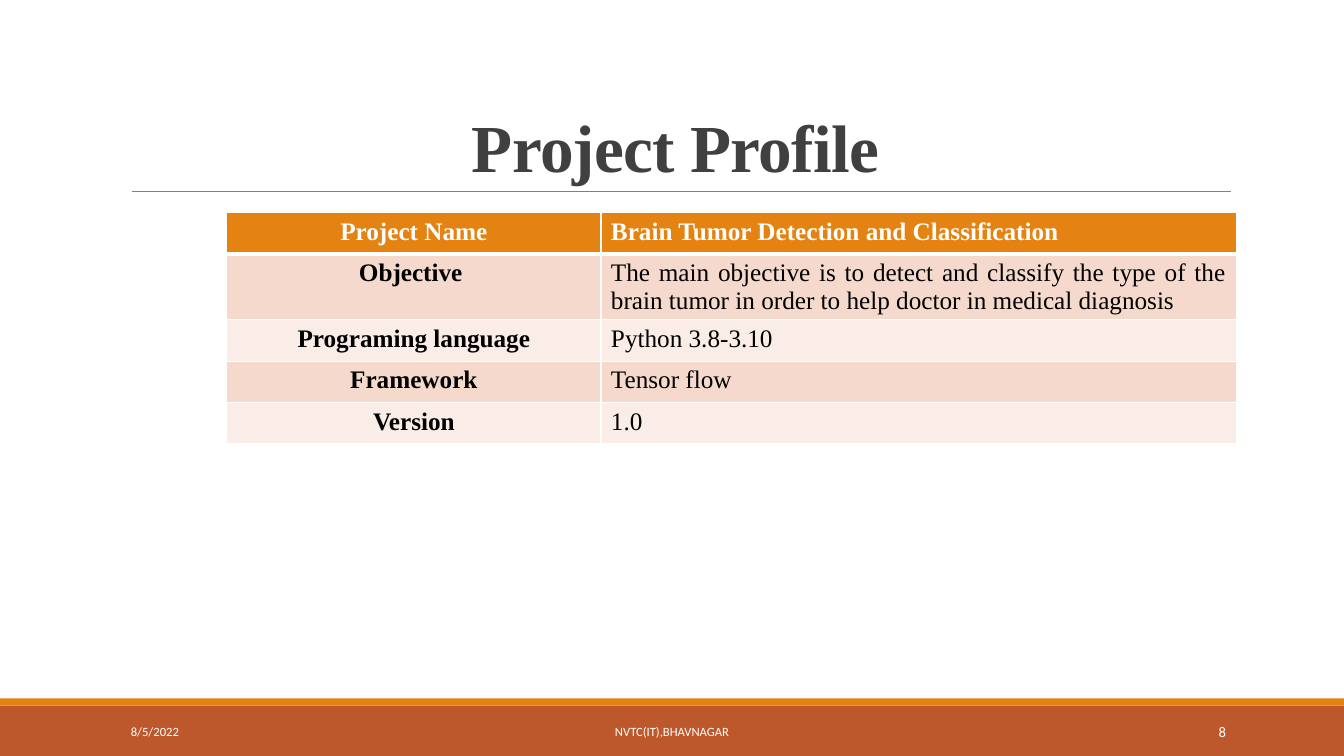
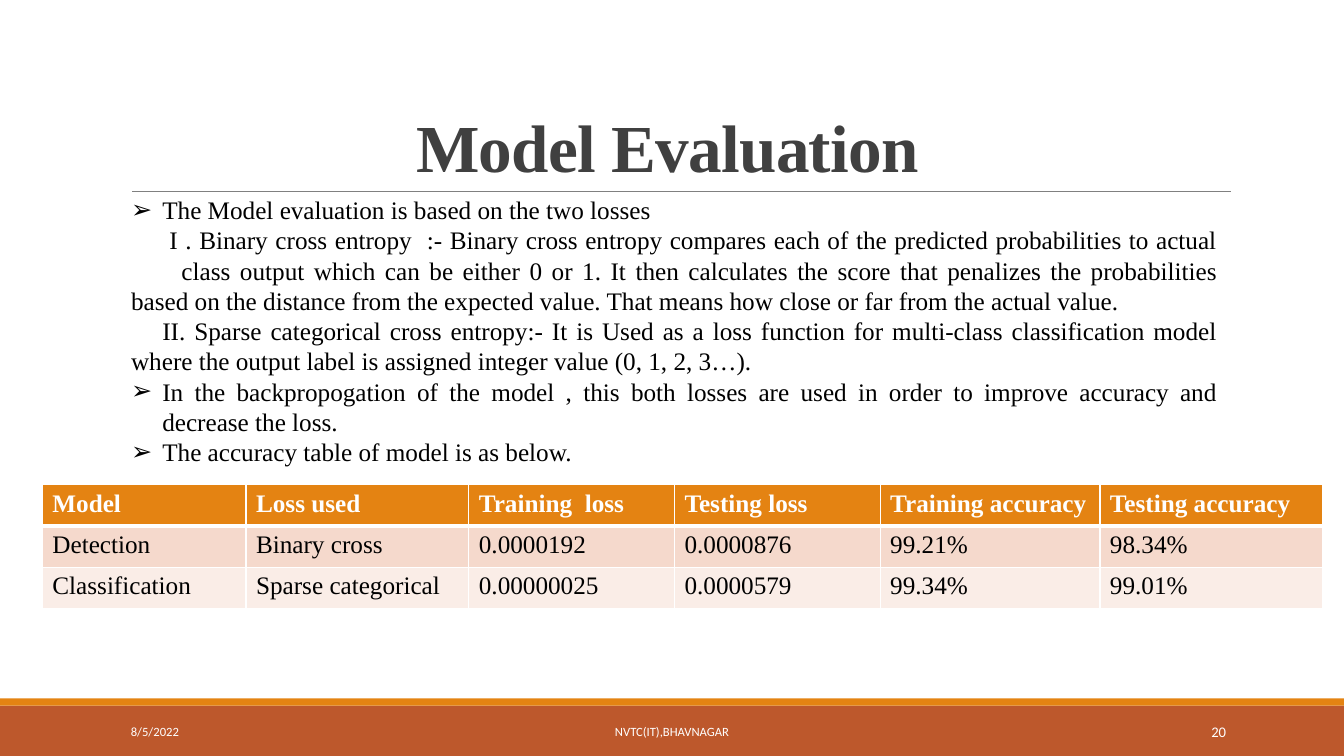
from lxml import etree
from pptx import Presentation
from pptx.dml.color import RGBColor
from pptx.enum.shapes import MSO_CONNECTOR, MSO_SHAPE
from pptx.enum.text import MSO_ANCHOR, MSO_AUTO_SIZE, PP_ALIGN
from pptx.oxml.ns import qn
from pptx.util import Inches, Pt

LEFT, CENTER, RIGHT, JUSTIFY = PP_ALIGN.LEFT, PP_ALIGN.CENTER, PP_ALIGN.RIGHT, PP_ALIGN.JUSTIFY
RECTANGLE, STRAIGHT = MSO_SHAPE.RECTANGLE, MSO_CONNECTOR.STRAIGHT
TITLE_AND_CONTENT, TITLE_ONLY = 1, 5

# Content: a body item is (text, first-line indent); None marks a bullet
SLIDES = [
    {
        "title": "Project Profile",
        "number": "8",
        "table": {
            "left": 2.25, "top": 2.11, "columns": [3.71, 6.3], "label_column": True,
            "rows": [
                ("Project Name", "Brain Tumor Detection and Classification"),
                ("Objective ", "The main objective is to detect and classify the type of the "
                 "brain tumor in order to help doctor in medical diagnosis"),
                ("Programing language", "Python 3.8-3.10"),
                ("Framework", "Tensor flow"),
                ("Version", "1.0"),
            ],
        },
    },
    {
        "title": "Model Evaluation ",
        "number": "20",
        "body": [
            ("The Model evaluation is based on the two losses", None),
            ("I . Binary cross entropy  :- Binary cross entropy compares each of the predicted "
             "probabilities to actual\v\tclass output which can be either 0 or 1. It then "
             "calculates the score that penalizes the probabilities\vbased on the distance from "
             "the expected value. That means how close or far from the actual value.", 0.38),
            ("II. Sparse categorical cross entropy:- It is Used as a loss function for "
             "multi-class classification model\vwhere the output label is assigned integer "
             "value (0, 1, 2, 3…).", 0.31),
            ("In the backpropogation of the model , this both losses are used in order to "
             "improve accuracy and decrease the loss.", None),
            ("The accuracy table of model is as below.", None),
        ],
        "table": {
            "left": 0.42, "top": 4.81, "columns": [2.02, 2.21, 2.04, 2.04, 2.18, 2.21],
            "label_column": False,
            "rows": [
                ("Model", "Loss used", "Training  loss", "Testing loss",
                 "Training accuracy", "Testing accuracy"),
                ("Detection", "Binary cross", "0.0000192", "0.0000876", "99.21%", "98.34%"),
                ("Classification", "Sparse categorical", "0.00000025", "0.0000579",
                 "99.34%", "99.01%"),
            ],
        },
    },
]
DATE, FOOTER = "8/5/2022", "NVTC(IT),BHAVNAGAR"

# Shared look
COLORS = {"rust": "BD582C", "orange": "E48312", "rule": "808080", "title": "404040",
          "text": "000000", "white": "FFFFFF", "band_dark": "F5D9CC", "band_light": "FAEDE7"}
SERIF, SANS = "Times New Roman", "Calibri"
TITLE_FONT = {"name": SERIF, "size": Pt(48), "bold": True, "color": "title"}
BODY_FONT = {"name": SERIF, "size": Pt(18), "bold": False, "color": "text"}
FOOTER_FONT = {"name": SANS, "size": Pt(9), "bold": False, "color": "white"}
TITLE_BOX = (1.2, 0.31, 11, 1.59)
BODY_BOX = (1.2, 1.88, 10.98, 3.13)
BANDS = [((0, 7, 13.33, 0.5), "rust"), ((0, 6.93, 13.33, 0.07), "orange")]
BULLET_INDENT, TAB_STOP, ROW_HEIGHT = 0.31, 0.51, 0.41


def rgb(name):
    return RGBColor.from_string(COLORS[name])


def place(shape, box):
    shape.left, shape.top, shape.width, shape.height = map(Inches, box)


def set_font(paragraph, values):
    for run in paragraph.runs:
        for attribute, value in values.items():
            if attribute == "color":
                run.font.color.rgb = rgb(value)
            else:
                setattr(run.font, attribute, value)


def set_frame(frame, anchor):
    frame.word_wrap = True
    frame.auto_size = MSO_AUTO_SIZE.NONE
    frame.vertical_anchor = anchor


def add_bands(slide):
    for box, color in BANDS:
        band = slide.shapes.add_shape(RECTANGLE, *map(Inches, box))
        band.shadow.inherit = False
        band.fill.solid()
        band.fill.fore_color.rgb = rgb(color)
        band.line.fill.background()
    rule = slide.shapes.add_connector(STRAIGHT, *map(Inches, (1.31, 1.9, 12.21, 1.9)))
    rule.line.color.rgb = rgb("rule")
    rule.line.width = Pt(0.5)
    etree.SubElement(rule._element.spPr, qn("a:effectLst"))


def add_footers(slide, number):
    footers = [(DATE, 1.2, 2.7, LEFT, 9), (FOOTER, 4.03, 5.27, CENTER, 9),
               (number, 10.83, 1.43, RIGHT, 10.5)]
    for text, left, width, alignment, size in footers:
        box = slide.shapes.add_textbox(*map(Inches, (left, 7.06, width, 0.4)))
        set_frame(box.text_frame, MSO_ANCHOR.MIDDLE)
        paragraph = box.text_frame.paragraphs[0]
        paragraph.text = text
        paragraph.alignment = alignment
        set_font(paragraph, {**FOOTER_FONT, "size": Pt(size)})


def fill_title(title, text):
    place(title, TITLE_BOX)
    set_frame(title.text_frame, MSO_ANCHOR.BOTTOM)
    paragraph = title.text_frame.paragraphs[0]
    paragraph.text = text
    paragraph.alignment = CENTER
    paragraph.line_spacing = 0.85
    set_font(paragraph, TITLE_FONT)
    paragraph.runs[0]._r.get_or_add_rPr().set("spc", "-50")


def fill_body(body, items):
    place(body, BODY_BOX)
    frame = body.text_frame
    set_frame(frame, MSO_ANCHOR.TOP)
    for index, (text, indent) in enumerate(items):
        paragraph = frame.add_paragraph() if index else frame.paragraphs[0]
        paragraph.text = text
        paragraph.alignment = JUSTIFY
        paragraph.line_spacing = Pt(21.6)
        paragraph.space_before = paragraph.space_after = Pt(0)
        set_font(paragraph, BODY_FONT)
        # Bullets, indents and tab stops
        properties = paragraph._p.get_or_add_pPr()
        bulleted = indent is None
        margin, first_line = (BULLET_INDENT, -BULLET_INDENT) if bulleted else (0, indent)
        properties.set("marL", str(Inches(margin)))
        properties.set("indent", str(Inches(first_line)))
        if bulleted:
            etree.SubElement(properties, qn("a:buChar"), char="➢")
        else:
            etree.SubElement(properties, qn("a:buNone"))
            tabs = etree.SubElement(properties, qn("a:tabLst"))
            etree.SubElement(tabs, qn("a:tab"), pos=str(Inches(TAB_STOP)), algn="l")


def set_borders(cell, bottom_width):
    properties = cell._tc.get_or_add_tcPr()
    widths = {"a:lnL": 1, "a:lnR": 1, "a:lnT": 1, "a:lnB": bottom_width}
    for position, (tag, width) in enumerate(widths.items()):
        line = etree.Element(qn(tag), w=str(Pt(width)))
        fill = etree.SubElement(line, qn("a:solidFill"))
        etree.SubElement(fill, qn("a:srgbClr"), val=COLORS["white"])
        properties.insert(position, line)


def add_table(slide, data):
    rows, columns = data["rows"], data["columns"]
    box = (data["left"], data["top"], sum(columns), ROW_HEIGHT * len(rows))
    table = slide.shapes.add_table(len(rows), len(columns), *map(Inches, box)).table
    table.horz_banding = False
    for column, width in zip(table.columns, columns):
        column.width = Inches(width)
    for row_index, texts in enumerate(rows):
        header = row_index == 0
        band = "orange" if header else "band_dark" if row_index % 2 else "band_light"
        for column_index, text in enumerate(texts):
            label = data["label_column"] and column_index == 0
            cell = table.cell(row_index, column_index)
            cell.fill.solid()
            cell.fill.fore_color.rgb = rgb(band)
            set_borders(cell, 3 if header else 1)
            paragraph = cell.text_frame.paragraphs[0]
            paragraph.text = text
            paragraph.alignment = CENTER if label else JUSTIFY
            set_font(paragraph, {**BODY_FONT, "bold": header or label,
                                 "color": "white" if header else "text"})


def main():
    presentation = Presentation()
    presentation.slide_width, presentation.slide_height = Inches(13.33), Inches(7.5)
    for content in SLIDES:
        layout = TITLE_AND_CONTENT if "body" in content else TITLE_ONLY
        slide = presentation.slides.add_slide(presentation.slide_layouts[layout])
        add_bands(slide)
        fill_title(slide.shapes.title, content["title"])
        if "body" in content:
            fill_body(slide.placeholders[1], content["body"])
        add_table(slide, content["table"])
        add_footers(slide, content["number"])
    presentation.save("out.pptx")


if __name__ == "__main__":
    main()
